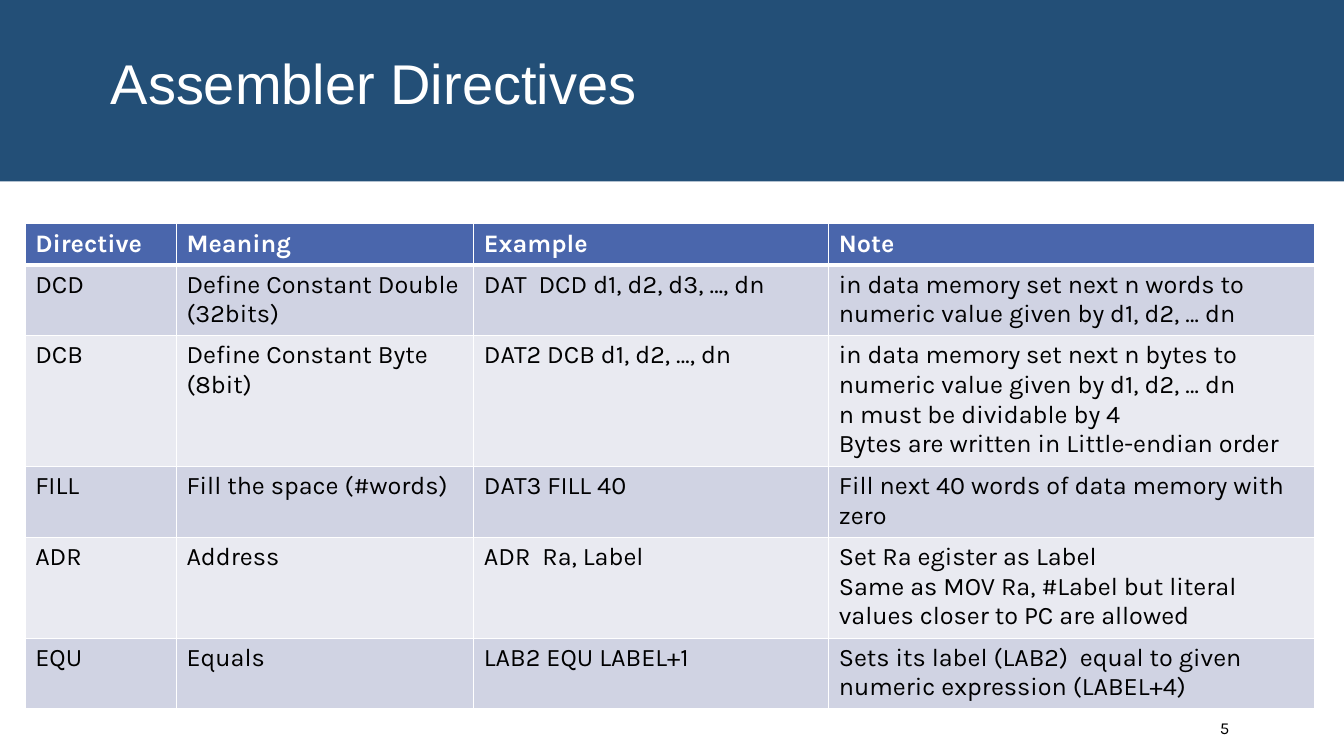
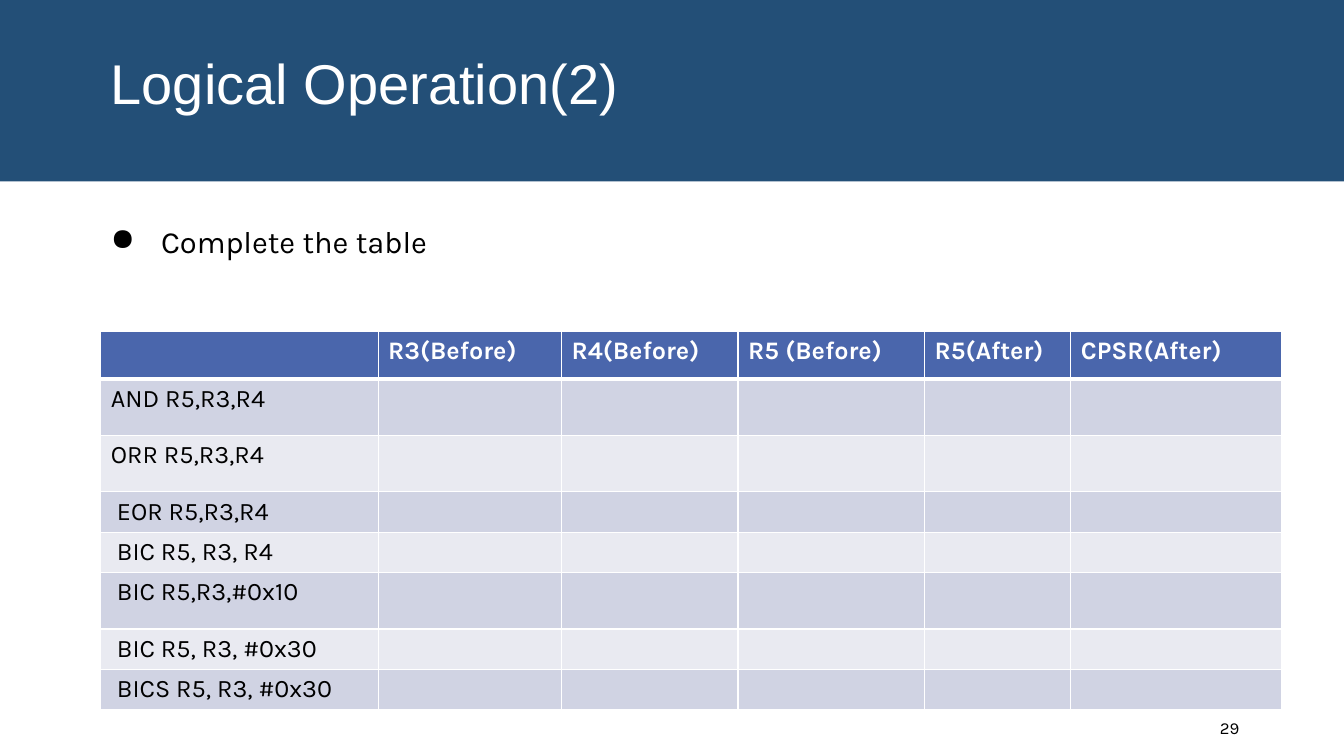
import lxml.etree
import pptx
import pptx.dml.color
import pptx.enum.shapes
import pptx.enum.text
import pptx.oxml.ns
import pptx.util

RGBColor = pptx.dml.color.RGBColor
BAND_BLUE = RGBColor(0x23, 0x4F, 0x77)
HEADER_BLUE = RGBColor(0x4A, 0x66, 0xAC)
ROW_DARK = RGBColor(0xD0, 0xD3, 0xE3)
ROW_LIGHT = RGBColor(0xE9, 0xEA, 0xF1)
WHITE = RGBColor(0xFF, 0xFF, 0xFF)
BLACK = RGBColor(0, 0, 0)

TITLE_FONT = "Arial"
BODY_FONT = "Karla"
PX = 9144  # EMU in one px, 100 px to the inch
SLIDE_WIDTH, SLIDE_HEIGHT = 1333, 750
MIDDLE = pptx.enum.text.MSO_ANCHOR.MIDDLE

# Boxes are left, top, width, height
BAND_BOX = (0, 0, SLIDE_WIDTH, 180)
TITLE_BOX = (100, 31, 1133, 111)
NUMBER_BOX = (1205, 702, 103, 40)
BULLET_BOX = (100, 220, 1133, 74)

DIRECTIVES = [
    ["Directive", "Meaning", "Example", "Note"],
    ["DCD", "Define Constant Double (32bits)", "DAT  DCD d1, d2, d3, …, dn",
     "in data memory set next n words to numeric value given by d1, d2, … dn"],
    ["DCB", "Define Constant Byte (8bit)", "DAT2 DCB d1, d2, …, dn",
     "in data memory set next n bytes to numeric value given by d1, d2, … dn\n"
     "n must be dividable by 4\nBytes are written in Little-endian order"],
    ["FILL", "Fill the space (#words)", "DAT3 FILL 40",
     "Fill next 40 words of data memory with zero"],
    ["ADR", "Address", "ADR  Ra, Label",
     "Set Ra egister as Label\n"
     "Same as MOV Ra, #Label but literal values closer to PC are allowed"],
    ["EQU", "Equals", "LAB2 EQU LABEL+1",
     "Sets its label (LAB2)  equal to given numeric expression (LABEL+4)"],
]
OPERATION_HEADER = ["", "R3(Before)", "R4(Before)", "R5 (Before)", "R5(After)", "CPSR(After)"]
OPERATIONS = ["AND R5,R3,R4", "ORR R5,R3,R4", " EOR R5,R3,R4", " BIC R5, R3, R4",
              " BIC R5,R3,#0x10", " BIC R5, R3, #0x30", " BICS R5, R3, #0x30"]


def emu(box):
    return [length * PX for length in box]


def add_run(paragraph, text, size, color, font=BODY_FONT, bold=False):
    run = paragraph.add_run()
    run.text = text
    run.font.size = pptx.util.Pt(size)
    run.font.name = font
    run.font.bold = bold
    run.font.color.rgb = color


def add_text_frame(slide, box):
    frame = slide.shapes.add_textbox(*emu(box)).text_frame
    frame.word_wrap = True
    return frame


def add_frame(slide, title, number):
    """Title band, title and page number, the same on every slide."""
    band = slide.shapes.add_shape(pptx.enum.shapes.MSO_SHAPE.RECTANGLE, *emu(BAND_BOX))
    band.shadow.inherit = False
    band.fill.solid()
    band.fill.fore_color.rgb = BAND_BLUE
    band.line.fill.background()

    title_frame = add_text_frame(slide, TITLE_BOX)
    title_frame.vertical_anchor = MIDDLE
    title_frame.paragraphs[0].line_spacing = 0.85
    add_run(title_frame.paragraphs[0], title, 40, WHITE, TITLE_FONT)

    number_frame = add_text_frame(slide, NUMBER_BOX)
    number_frame.vertical_anchor = MIDDLE
    number_frame.margin_left = 5 * PX
    add_run(number_frame.paragraphs[0], str(number), 12, BLACK)


def add_bullet(slide, box, text):
    paragraph = add_text_frame(slide, box).paragraphs[0]
    paragraph.line_spacing = 0.9
    paragraph.space_before = pptx.util.Pt(12)
    paragraph.space_after = pptx.util.Pt(2)
    add_run(paragraph, text, 22, BLACK)
    # Bullet sign and hanging indent
    properties = paragraph._p.get_or_add_pPr()
    properties.set("marL", str(50 * PX))
    properties.set("indent", str(-50 * PX))
    qn = pptx.oxml.ns.qn
    bullet_color = lxml.etree.SubElement(properties, qn("a:buClr"))
    lxml.etree.SubElement(bullet_color, qn("a:srgbClr"), val=str(BLACK))
    lxml.etree.SubElement(properties, qn("a:buChar"), char="●")


def set_borders(cell, top, bottom):
    """White borders; top and bottom widths in points, sides 1 point."""
    qn = pptx.oxml.ns.qn
    properties = cell._tc.get_or_add_tcPr()
    for side, width in (("L", 1), ("R", 1), ("T", top), ("B", bottom)):
        line = lxml.etree.SubElement(properties, qn("a:ln" + side),
                                     w=str(pptx.util.Pt(width)))
        fill = lxml.etree.SubElement(line, qn("a:solidFill"))
        lxml.etree.SubElement(fill, qn("a:srgbClr"), val=str(WHITE))


def add_banded_table(slide, left, top, widths, heights, rows):
    box = (left, top, sum(widths), sum(heights))
    table = slide.shapes.add_table(len(rows), len(widths), *emu(box)).table
    for column, width in zip(table.columns, widths):
        column.width = width * PX
    for row, height in zip(table.rows, heights):
        row.height = height * PX
    for row_index, texts in enumerate(rows):
        header = row_index == 0
        band_color = ROW_DARK if row_index % 2 else ROW_LIGHT
        for column_index, text in enumerate(texts):
            cell = table.cell(row_index, column_index)
            set_borders(cell, 3 if row_index == 1 else 1, 3 if header else 1)
            cell.fill.solid()
            cell.fill.fore_color.rgb = HEADER_BLUE if header else band_color
            frame = cell.text_frame
            for line_index, line in enumerate(text.split("\n")):
                paragraph = frame.add_paragraph() if line_index else frame.paragraphs[0]
                add_run(paragraph, line, 18, WHITE if header else BLACK, bold=header)


def build_directives(slide):
    add_frame(slide, "Assembler Directives", 5)
    add_banded_table(slide, 25, 222, [150, 295, 352, 482],
                     [41, 69, 127, 69, 98, 69], DIRECTIVES)


def build_operations(slide):
    add_frame(slide, "Logical Operation(2)", 29)
    add_bullet(slide, BULLET_BOX, "Complete the table")
    blanks = [""] * (len(OPERATION_HEADER) - 1)
    rows = [OPERATION_HEADER] + [[operation] + blanks for operation in OPERATIONS]
    add_banded_table(slide, 100, 329, [275, 182, 175, 185, 145, 209],
                     [47, 56, 56, 39, 39, 56, 39, 39], rows)


def main():
    presentation = pptx.Presentation()
    presentation.slide_width = SLIDE_WIDTH * PX
    presentation.slide_height = SLIDE_HEIGHT * PX
    blank_layout = presentation.slide_layouts[6]
    for build in (build_directives, build_operations):
        build(presentation.slides.add_slide(blank_layout))
    presentation.save("out.pptx")


if __name__ == "__main__":
    main()
